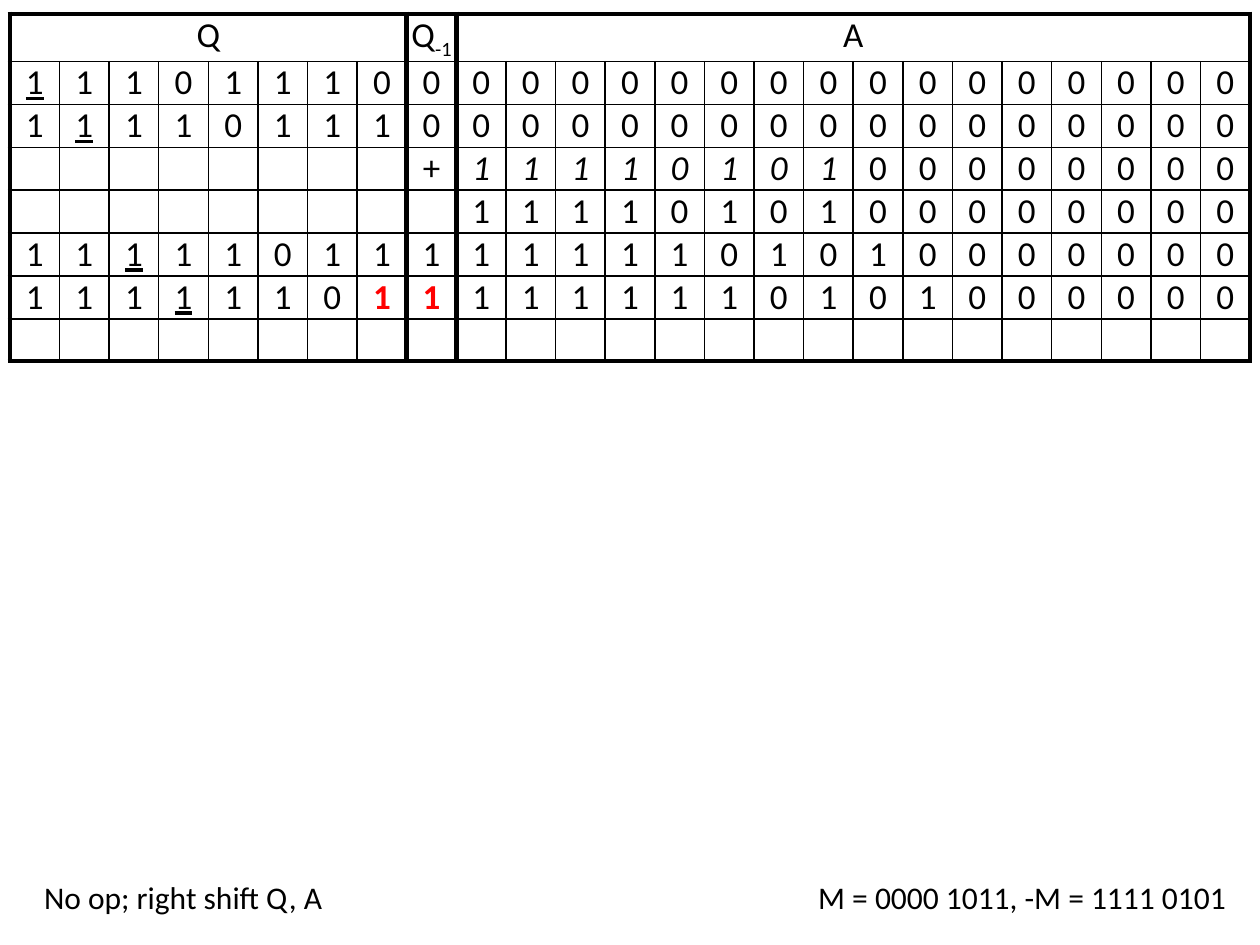
from lxml.etree import SubElement
from pptx import Presentation
from pptx.dml.color import RGBColor
from pptx.enum.text import MSO_AUTO_SIZE, PP_ALIGN
from pptx.oxml.ns import qn
from pptx.util import Cm, Pt

INK, RED = "000000", "FF0000"
THIN, THICK = 1, 3


def tint(code):
    """Turn a hex string into a colour."""
    return RGBColor.from_string(code)


def write(para, text, size=20, color=INK, font="Calibri", bold=False,
          italic=False, under=False, base=0):
    """Add one formatted run to a paragraph."""
    run = para.add_run()
    run.text = text
    face = run.font
    face.name, face.size = font, Pt(size)
    face.bold, face.italic, face.underline = bold, italic, under
    face.color.rgb = tint(color)
    if base:
        run._r.get_or_add_rPr().set("baseline", str(base * 1000))


class Page:
    """The current slide and its style."""

    def __init__(self, deck):
        """Add a blank slide to the deck."""
        self.slide = deck.slides.add_slide(deck.slide_layouts[6])

    def label(self, text, left, top, width, height, align=PP_ALIGN.LEFT):
        """Place a line of free text."""
        box = self.slide.shapes.add_textbox(Cm(left), Cm(top), Cm(width), Cm(height))
        frame = box.text_frame
        frame.word_wrap = True
        frame.auto_size = MSO_AUTO_SIZE.SHAPE_TO_FIT_TEXT
        frame.paragraphs[0].alignment = align
        write(frame.paragraphs[0], text, size=18)

    def grid(self, left, top, rows, cols, width, height):
        """Place a plain table of equal cells."""
        table = self.slide.shapes.add_table(
            rows, cols, Cm(left), Cm(top), Cm(width * cols), Cm(height * rows)).table
        table.first_row = table.horz_banding = False
        for col in table.columns:
            col.width = Cm(width)
        for row in table.rows:
            row.height = Cm(height)
        return table

    def cell(self, cell, edges):
        """Set margins, alignment, borders and empty fill of a cell."""
        cell.margin_left = cell.margin_right = cell.margin_top = cell.margin_bottom = 0
        cell.text_frame.paragraphs[0].alignment = PP_ALIGN.CENTER
        props = cell._tc.get_or_add_tcPr()
        for side, points in zip("LRTB", edges):
            line = SubElement(props, qn("a:ln" + side), w=str(Pt(points)))
            fill = SubElement(line, qn("a:solidFill"))
            SubElement(fill, qn("a:srgbClr"), val=INK)
        cell.fill.background()


# Register contents: Q (8 bits), Q-1 (1 bit), A (16 bits)
STEPS = [
    "11101110" "0" "0000000000000000",
    "11110111" "0" "0000000000000000",
    "        " "+" "1111010100000000",
    "        " " " "1111010100000000",
    "11111011" "1" "1111101010000000",
    "11111101" "1" "1111110101000000",
    " " * 25,
]
HEADS = [(0, 8, "Q", ""), (8, 1, "Q", "-1"), (9, 16, "A", "")]
WALLS = {0, 8, 9, 25}

MARKS = {spot: {"under": True} for spot in [(1, 0), (2, 1), (5, 2), (6, 3)]}
MARKS.update({(3, col): {"italic": True} for col in range(9, 17)})
MARKS.update({(6, col): {"bold": True, "color": RED} for col in (7, 8)})


def wall(edge):
    """Give the line width at a column edge."""
    return THICK if edge in WALLS else THIN


deck = Presentation()
deck.slide_width, deck.slide_height = Cm(25.4), Cm(19.05)
page = Page(deck)

table = page.grid(0.2, 0.28, rows=len(STEPS) + 1, cols=25, width=1, height=0.85)
for start, span, name, sub in HEADS:
    head = table.cell(0, start)
    if span > 1:
        head.merge(table.cell(0, start + span - 1))
    page.cell(head, (THICK, THICK, THICK, THIN))
    para = head.text_frame.paragraphs[0]
    write(para, name)
    if sub:
        write(para, sub, base=-25)

for row, bits in enumerate(STEPS, 1):
    floor = THICK if row == len(STEPS) else THIN
    for col, bit in enumerate(bits):
        cell = table.cell(row, col)
        page.cell(cell, (wall(col), wall(col + 1), THIN, floor))
        if bit != " ":
            write(cell.text_frame.paragraphs[0], bit, **MARKS.get((row, col), {}))

page.label("M = 0000 1011, -M = 1111 0101", 15.24, 17.58, 9.73, 1.03, PP_ALIGN.RIGHT)
page.label("No op; right shift Q, A", 0.64, 17.58, 9.73, 1.03)

deck.save("out.pptx")
